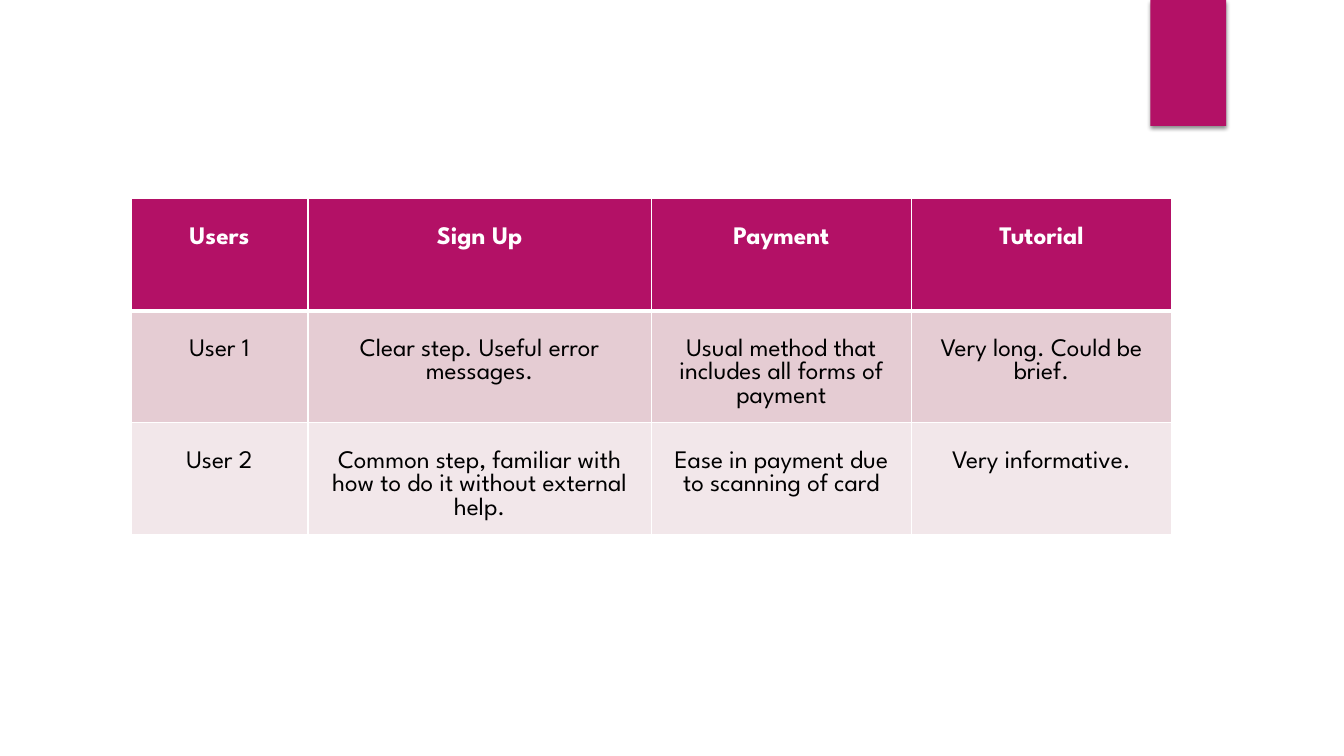
import pptx
import pptx.util
import pptx.dml.color
import pptx.enum.shapes
import pptx.enum.text
import pptx.oxml

NS = 'xmlns:a="http://schemas.openxmlformats.org/drawingml/2006/main"'


def color(value):
    return pptx.dml.color.RGBColor.from_string(value)


class Deck:
    font = "League Spartan"
    size = 18
    accent = "B31166"
    white = "FFFFFF"
    black = "000000"
    bands = ("E5CCD3", "F2E7EA")

    def __init__(self):
        self.prs = pptx.Presentation()
        self.prs.slide_width = pptx.util.Inches(13.33)
        self.prs.slide_height = pptx.util.Inches(7.5)
        self.s = self.prs.slides.add_slide(self.prs.slide_layouts[6])

    def cols(self, n):
        return round(self.prs.slide_width * n / 100)

    def rows(self, n):
        return round(self.prs.slide_height * n / 100)

    def box(self, x, y, w, h):
        return self.cols(x), self.rows(y), self.cols(w), self.rows(h)

    def tab(self, x, y, w, h):
        sp = self.s.shapes.add_shape(
            pptx.enum.shapes.MSO_SHAPE.RECTANGLE, *self.box(x, y, w, h))
        sp.fill.solid()
        sp.fill.fore_color.rgb = color(self.accent)
        sp.line.fill.background()
        sp.shadow.inherit = False
        sp._element.spPr[-1].append(pptx.oxml.parse_xml(
            f'<a:outerShdw {NS} blurRad="38100" dist="25400" dir="5400000" rotWithShape="0">'
            f'<a:srgbClr val="{self.black}"><a:alpha val="45000"/></a:srgbClr></a:outerShdw>'))

    def borders(self, cell, **widths):
        tcPr = cell._tc.get_or_add_tcPr()
        for i, side in enumerate("LRTB"):
            width = pptx.util.Pt(widths.get(side, 1))
            tcPr.insert(i, pptx.oxml.parse_xml(
                f'<a:ln{side} {NS} w="{width}"><a:solidFill>'
                f'<a:srgbClr val="{self.white}"/></a:solidFill></a:ln{side}>'))

    def cell(self, cell, text, fill, ink, bold):
        cell.fill.solid()
        cell.fill.fore_color.rgb = color(fill)
        cell.margin_top = pptx.util.Inches(0.28)
        cell.text = text
        p = cell.text_frame.paragraphs[0]
        p.alignment = pptx.enum.text.PP_ALIGN.CENTER
        p.font.name = self.font
        p.font.size = pptx.util.Pt(self.size)
        p.font.bold = bold
        p.font.color.rgb = color(ink)

    def table(self, x, y, w, row_height, shares, data):
        height = row_height * len(data)
        tbl = self.s.shapes.add_table(
            len(data), len(shares), *self.box(x, y, w, height)).table
        for column, share in zip(tbl.columns, shares):
            column.width = self.cols(w * share)
        for i, texts in enumerate(data):
            tbl.rows[i].height = self.rows(row_height)
            header = i == 0
            fill = self.accent if header else self.bands[(i - 1) % 2]
            ink = self.white if header else self.black
            for j, text in enumerate(texts):
                cell = tbl.cell(i, j)
                self.cell(cell, text, fill, ink, header)
                self.borders(cell, T=3 if i == 1 else 1, B=3 if header else 1)


def main():
    deck = Deck()
    deck.tab(85.6, 0, 5.63, 16.67)
    deck.table(9.75, 26.27, 77.42, 14.83, (0.17, 0.33, 0.25, 0.25), (
        ("Users", "Sign Up", "Payment", "Tutorial"),
        ("User 1", "Clear step. Useful error messages.",
         "Usual method that includes all forms of payment",
         "Very long. Could be brief."),
        ("User 2",
         "Common step, familiar with how to do it without external help.",
         "Ease in payment due to scanning of card", "Very informative."),
    ))
    deck.prs.save("out.pptx")


if __name__ == "__main__":
    main()
